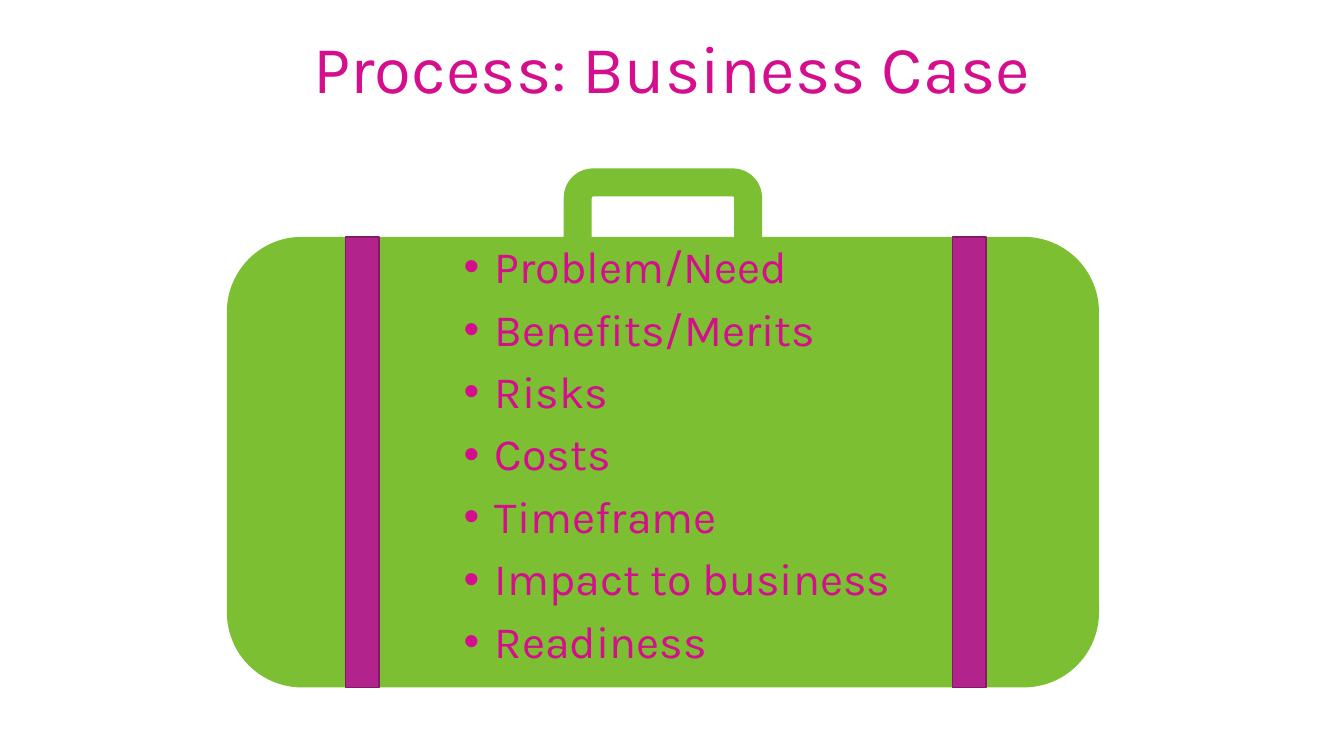
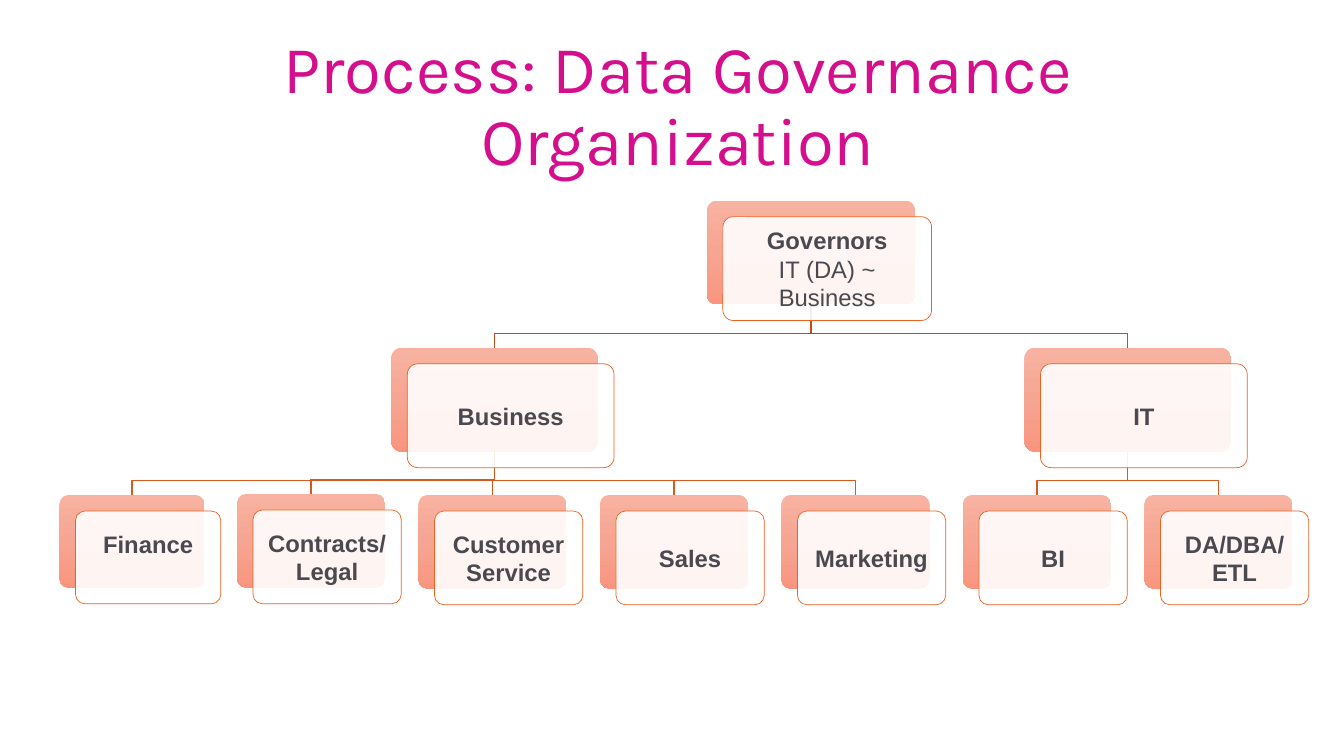
"""Build two process slides: the business case and the data governance organization."""
import copy

import pptx
import pptx.dml.color
import pptx.enum.shapes
import pptx.enum.text
import pptx.oxml.ns
import pptx.util

Inches = pptx.util.Inches
Pt = pptx.util.Pt
SHAPE = pptx.enum.shapes.MSO_SHAPE
ALIGN = pptx.enum.text.PP_ALIGN
ANCHOR = pptx.enum.text.MSO_ANCHOR
qn = pptx.oxml.ns.qn

PINK, GREEN = "D40E8C", "7CBF33"
STRAP, STRAP_EDGE = "B2238B", "841A67"
CARD_TEXT, CARD_EDGE = "4A494F", "EE6220"
CARD_SHADE = [(0, "F8B2A1"), (0.5, "F6A593"), (1, "F9957E")]
TOP_LINK, LEAF_LINK = "BF4E1A", "D8591D"
TITLE_FONT, CARD_FONT = "Karla", "Arial"

CASE_TOP, CASE_HEIGHT = 2.35, 4.47
CASE_POINTS = ["Problem/Need", "Benefits/Merits", "Risks", "Costs",
               "Timeframe", "Impact to business", "Readiness"]

CARD_SHIFT = 0.16
CARD_INSET = 0.07
LINE_HEIGHT = 0.27
LEAF_LEFT, LEAF_PITCH, LEAF_TOP = 0.55, 1.8, 4.91
LEAF_SIZE = (1.47, 0.93)
GOVERNORS = (7.01, 1.99, 2.07, 1.03)
BUSINESS = (3.88, 3.45, 2.05, 1.03)
IT = (10.16, 3.45, 2.05, 1.03)
FINANCE = (0.59, LEAF_TOP, 1.44, 0.92)
BUSINESS_LEAVES = [["Contracts/", "Legal"], ["Customer Service"], ["Sales"], ["Marketing"]]
IT_LEAVES = [["BI"], ["DA/DBA/", "ETL"]]


def rgb(color):
    return pptx.dml.color.RGBColor.from_string(color)


def add_run(p, text, font, size, color, bold=False):
    r = p.add_run()
    r.text = text
    r.font.name, r.font.size, r.font.bold = font, Pt(size), bold
    r.font.color.rgb = rgb(color)


def add_box(s, kind, box, fill=None, line=None, width=1):
    sp = s.shapes.add_shape(kind, *map(Inches, box))
    sp.shadow.inherit = False
    if fill:
        sp.fill.solid()
        sp.fill.fore_color.rgb = rgb(fill)
    else:
        sp.fill.background()
    if line:
        sp.line.color.rgb = rgb(line)
        sp.line.width = Pt(width)
    else:
        sp.line.fill.background()
    return sp


def add_text_box(s, box):
    tf = s.shapes.add_textbox(*map(Inches, box)).text_frame
    tf.word_wrap = True
    return tf


def add_title(s, text, left, width):
    p = add_text_box(s, (left, 0.3, width, 1.12)).paragraphs[0]
    p.alignment = ALIGN.CENTER
    p.line_spacing = 0.9
    add_run(p, text, TITLE_FONT, 48, PINK)


def add_bullets(s, box, items):
    tf = add_text_box(s, box)
    for i, item in enumerate(items):
        p = tf.add_paragraph() if i else tf.paragraphs[0]
        pPr = p._p.get_or_add_pPr()
        pPr.set("marL", str(Inches(0.31)))
        pPr.set("indent", str(-Inches(0.31)))
        for tag, key, value in (("a:buFont", "typeface", CARD_FONT), ("a:buChar", "char", "•")):
            bullet = pPr.makeelement(qn(tag), {key: value})
            pPr.append(bullet)
        p.line_spacing = 0.9
        if i:
            p.space_before = Pt(10)
        add_run(p, item, TITLE_FONT, 32, PINK)


def shade(sp):
    sp.fill.gradient()
    sp.fill.gradient_angle = 270
    stops = sp._element.spPr.find(".//" + qn("a:gsLst"))
    stops.insert(1, copy.deepcopy(stops[0]))
    for stop, (position, color) in zip(sp.fill.gradient_stops, CARD_SHADE):
        stop.position = position
        stop.color.rgb = rgb(color)


def add_card(s, box, heading, detail=(), lift=0):
    left, top, width, height = box
    back = add_box(s, SHAPE.ROUNDED_RECTANGLE, box)
    shade(back)
    front = add_box(s, SHAPE.ROUNDED_RECTANGLE,
                    (left + CARD_SHIFT, top + CARD_SHIFT, width, height),
                    "FFFFFF", CARD_EDGE, 0.5)
    back.adjustments[0] = front.adjustments[0] = 0.1
    color = front._element.spPr.find(qn("a:solidFill"))[0]
    color.append(color.makeelement(qn("a:alpha"), {"val": "90000"}))
    tf = front.text_frame
    tf.word_wrap = True
    tf.vertical_anchor = ANCHOR.MIDDLE
    tf.margin_left = tf.margin_right = tf.margin_top = Inches(CARD_INSET)
    tf.margin_bottom = Inches(CARD_INSET + lift)
    lines = [(text, True) for text in heading] + [(text, False) for text in detail]
    for i, (text, bold) in enumerate(lines):
        p = tf.add_paragraph() if i else tf.paragraphs[0]
        p.alignment = ALIGN.CENTER
        add_run(p, text, CARD_FONT, 17, CARD_TEXT, bold)


def add_link(s, parent, child, color):
    start, end = parent[0] + parent[2] / 2, child[0] + child[2] / 2
    bend = child[1] - 0.14
    points = [(start, parent[1] + parent[3]), (start, bend), (end, bend), (end, child[1])]
    points = [(Inches(x), Inches(y)) for x, y in points]
    builder = s.shapes.build_freeform(*points[0])
    builder.add_line_segments(points[1:], close=False)
    sp = builder.convert_to_shape()
    sp.shadow.inherit = False
    sp.fill.background()
    sp.line.color.rgb = rgb(color)
    sp.line.width = Pt(1)


def leaf_box(column):
    top = LEAF_TOP - 0.01 if column == 1 else LEAF_TOP
    return (LEAF_LEFT + LEAF_PITCH * column, top, *LEAF_SIZE)


def build_business_case(s):
    add_title(s, "Process: Business Case", 0.99, 11.35)
    add_box(s, SHAPE.ROUNDED_RECTANGLE, (2.25, CASE_TOP, 8.65, CASE_HEIGHT), GREEN)
    add_box(s, SHAPE.ROUNDED_RECTANGLE, (5.73, 1.81, 1.69, 0.9), line=GREEN, width=20)
    add_bullets(s, (4.5, 2.38, 6.55, 5.05), CASE_POINTS)
    for left in (3.43, 9.45):
        add_box(s, SHAPE.RECTANGLE, (left, CASE_TOP, 0.33, CASE_HEIGHT), STRAP, STRAP_EDGE)


def build_organization(s):
    add_title(s, "Process: Data Governance Organization", 0.7, 12.05)
    business = [(leaf_box(i), text) for i, text in enumerate(BUSINESS_LEAVES, 1)]
    it = [(leaf_box(i), text) for i, text in enumerate(IT_LEAVES, 1 + len(business))]
    for box in [FINANCE] + [box for box, _ in business]:
        add_link(s, BUSINESS, box, LEAF_LINK)
    for box, _ in it:
        add_link(s, IT, box, LEAF_LINK)
    for box in (BUSINESS, IT):
        add_link(s, GOVERNORS, box, TOP_LINK)
    add_card(s, GOVERNORS, ["Governors"], ["IT (DA) ~ Business"])
    add_card(s, FINANCE, ["Finance"], lift=LINE_HEIGHT)
    for box, text in [(BUSINESS, ["Business"]), (IT, ["IT"])] + business + it:
        add_card(s, box, text)


def main():
    prs = pptx.Presentation()
    prs.slide_width, prs.slide_height = Inches(13.33), Inches(7.5)
    for build in (build_business_case, build_organization):
        build(prs.slides.add_slide(prs.slide_layouts[6]))
    prs.save("out.pptx")


if __name__ == "__main__":
    main()
